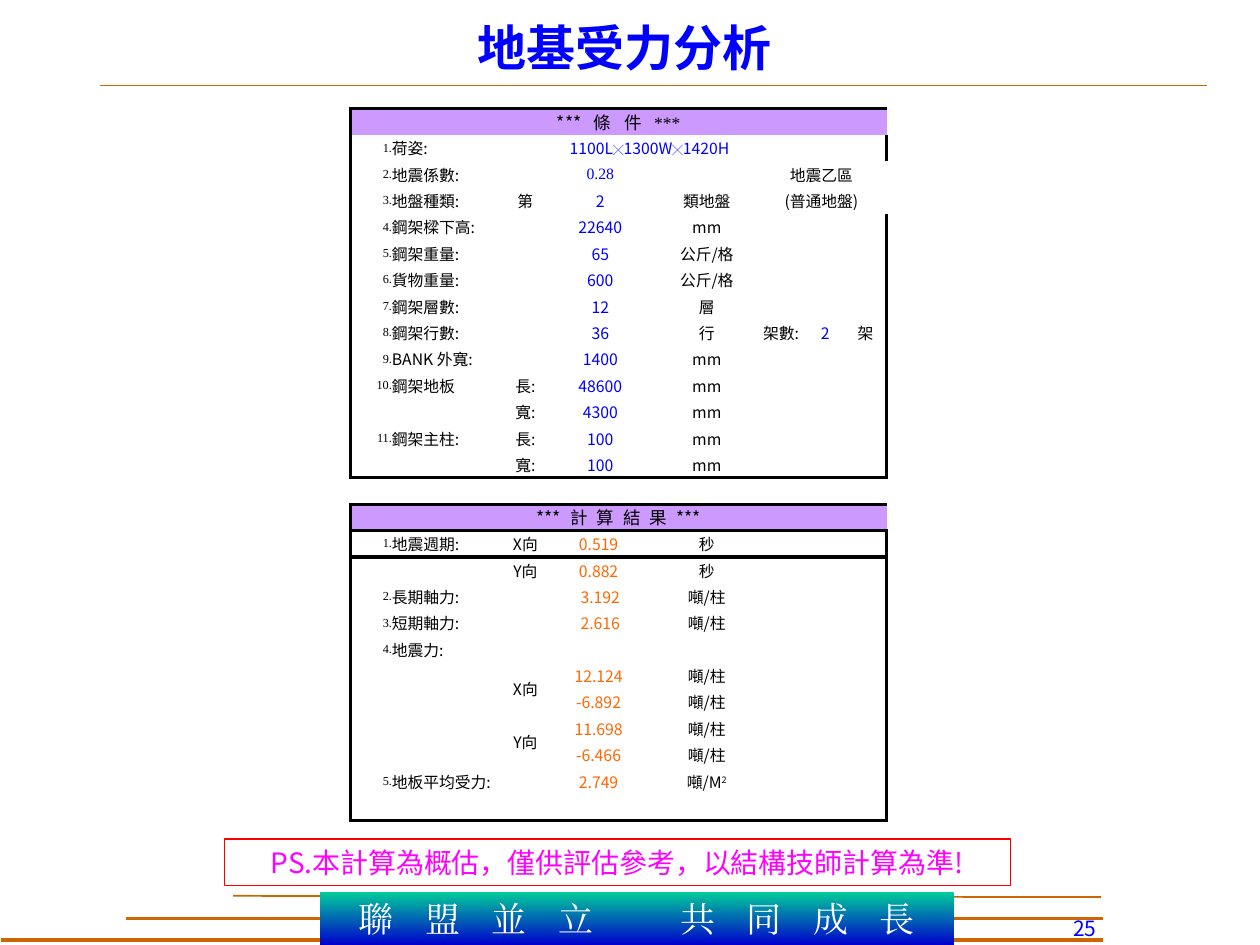
from lxml.etree import SubElement
from pptx import Presentation
from pptx.dml.color import RGBColor
from pptx.enum.shapes import MSO_CONNECTOR, MSO_SHAPE
from pptx.enum.text import MSO_ANCHOR, PP_ALIGN
from pptx.oxml.ns import qn
from pptx.util import Inches, Pt

SANS, SERIF = "Noto Sans CJK SC", "Times New Roman"
BLACK, BLUE, ORANGE, BROWN = "000000", "0000FF", "FF6600", "CC6600"


def colour(value):
    return RGBColor.from_string(value)


def add_span(paragraph, text, size, ink, font=SANS, spacing=0):
    span = paragraph.add_run()
    span.text = text
    span.font.size = Pt(size)
    span.font.name = font
    span.font.color.rgb = colour(ink)
    properties = span.font._element
    SubElement(properties, qn("a:ea"), typeface=font)
    if spacing:
        properties.set("spc", str(int(spacing * 100)))
    return span


deck = Presentation()
deck.slide_width, deck.slide_height = Inches(10), Inches(7.5)
page = deck.slides.add_slide(deck.slide_layouts[5])

title = page.shapes.title
title.left, title.top, title.width, title.height = Inches(3.62), Inches(0.09), Inches(2.67), Inches(0.57)
title.text_frame.word_wrap = False
title.text_frame.vertical_anchor = MSO_ANCHOR.MIDDLE
title_line = title.text_frame.paragraphs[0]
title_line.alignment = PP_ALIGN.CENTER
add_span(title_line, "地基受力分析", 28, BLUE).font.bold = True

rules = [
    (0.79, 0.68, 9.58, 0.68, 0.75),
    (1, 7.29, 8.75, 7.29, 1.75),
    (1.85, 7.11, 8.74, 7.12, 1),
    (0.01, 7.46, 8.75, 7.46, 2.5),
]
for left, top, right, bottom, weight in rules:
    rule = page.shapes.add_connector(
        MSO_CONNECTOR.STRAIGHT, Inches(left), Inches(top), Inches(right), Inches(bottom))
    rule.line.color.rgb = colour(BROWN)
    rule.line.width = Pt(weight)
    SubElement(rule._element.spPr, qn("a:effectLst"))

banner = page.shapes.add_shape(
    MSO_SHAPE.RECTANGLE, Inches(2.54), Inches(7.08), Inches(5.03), Inches(0.42))
banner.shadow.inherit = False
banner.line.fill.background()
banner.fill.gradient()
banner.fill.gradient_angle = 270
for stop, shade in zip(banner.fill.gradient_stops, ["00CC99", "0000CC"]):
    stop.color.rgb = colour(shade)
banner.text_frame.word_wrap = False
banner.text_frame.vertical_anchor = MSO_ANCHOR.MIDDLE
motto = banner.text_frame.paragraphs[0]
motto.alignment = PP_ALIGN.CENTER
for text, spacing in [("聯 盟 並 立", 6.5), (" ", 38), ("共 同 成 長", 6.5)]:
    add_span(motto, text, 20, "FFFFFF", SERIF, spacing)

notice = page.shapes.add_shape(
    MSO_SHAPE.RECTANGLE, Inches(1.78), Inches(6.66), Inches(6.24), Inches(0.37))
notice.shadow.inherit = False
notice.fill.background()
notice.line.color.rgb = colour("FF0000")
notice.line.width = Pt(0.75)
notice.text_frame.word_wrap = True
notice.text_frame.vertical_anchor = MSO_ANCHOR.MIDDLE
notice_line = notice.text_frame.paragraphs[0]
notice_line.alignment = PP_ALIGN.CENTER
add_span(notice_line, "PS.本計算為概估，僅供評估參考，以結構技師計算為準!", 16, "FF00FF")

number_box = page.shapes.add_textbox(Inches(8.35), Inches(7.22), Inches(0.45), Inches(0.28))
number_box.text_frame.word_wrap = True
number_line = number_box.text_frame.paragraphs[0]
number_line.alignment = PP_ALIGN.RIGHT
add_span(number_line, "25", 12, BLUE)

rows = [
    ["*** 條 件 ***"],
    ["1.", "荷姿:", "", "1100L╳1300W╳1420H"],
    ["2.", "地震係數:", "", "0.28", "", "地震乙區"],
    ["3.", "地盤種類:", "第", "2", "類地盤", "(普通地盤)"],
    ["4.", "鋼架樑下高:", "", "22640", "mm"],
    ["5.", "鋼架重量:", "", "65", "公斤/格"],
    ["6.", "貨物重量:", "", "600", "公斤/格"],
    ["7.", "鋼架層數:", "", "12", "層"],
    ["8.", "鋼架行數:", "", "36", "行", "架數:", "2", "架"],
    ["9.", "BANK 外寬:", "", "1400", "mm"],
    ["10.", "鋼架地板", "長:", "48600", "mm"],
    ["", "", "寬:", "4300", "mm"],
    ["11.", "鋼架主柱:", "長:", "100", "mm"],
    ["", "", "寬:", "100", "mm"],
    [],
    ["*** 計 算 結 果 ***"],
    ["1.", "地震週期:", "X向", "0.519 ", "秒"],
    ["", "", "Y向", "0.882 ", "秒"],
    ["2.", "長期軸力:", "", "3.192", "噸/柱"],
    ["3.", "短期軸力:", "", "2.616", "噸/柱"],
    ["4.", "地震力:"],
    ["", "", "X向", "12.124 ", "噸/柱"],
    ["", "", "", "-6.892 ", "噸/柱"],
    ["", "", "Y向", "11.698 ", "噸/柱"],
    ["", "", "", "-6.466 ", "噸/柱"],
    ["5.", "地板平均受力:", "", "2.749 ", "噸/M2"],
    [],
]
widths = [0.33, 0.92, 0.28, 0.91, 0.78, 0.4, 0.3, 0.34]
headings, gap_row, ends = (0, 15), 14, (13, 26)
merges = [(0, 0, 0, 7), (15, 0, 15, 7), (1, 3, 1, 4), (2, 5, 2, 7), (3, 5, 3, 7),
          (21, 2, 22, 2), (23, 2, 24, 2), (25, 1, 25, 2)]

frame = page.shapes.add_table(
    len(rows), len(widths), Inches(2.78), Inches(0.86), Inches(4.27), Inches(5.66))
table = frame.table
table.first_row = table.horz_banding = False
frame._element.find(".//" + qn("a:tableStyleId")).text = "{2D5ABB26-0587-4C30-8999-92F81FD0307C}"
for column, width in zip(table.columns, widths):
    column.width = Inches(width)
for top, left, bottom, right in merges:
    table.cell(top, left).merge(table.cell(bottom, right))

for r, texts in enumerate(rows):
    for c in range(len(widths)):
        cell = table.cell(r, c)
        cell.margin_left = cell.margin_right = cell.margin_top = cell.margin_bottom = 0
        cell.vertical_anchor = MSO_ANCHOR.MIDDLE
        edges = {
            "L": c == 0 and r != gap_row,
            "R": c == len(widths) - 1 and r != gap_row,
            "T": r in headings or r in (gap_row, 16),
            "B": r in ends or r in (gap_row, 15),
        }
        for side, shown in edges.items():
            if shown:
                edge = SubElement(cell._tc.get_or_add_tcPr(), qn("a:ln" + side), w=str(Pt(2)))
                SubElement(SubElement(edge, qn("a:solidFill")), qn("a:srgbClr"), val=BLACK)
        if r in headings:
            cell.fill.solid()
            cell.fill.fore_color.rgb = colour("CC99FF")
        else:
            cell.fill.background()

        paragraph = cell.text_frame.paragraphs[0]
        paragraph.alignment = {0: PP_ALIGN.RIGHT, 1: PP_ALIGN.LEFT}.get(c, PP_ALIGN.CENTER)
        text = texts[c] if c < len(texts) else ""
        if r in headings:
            paragraph.alignment = PP_ALIGN.CENTER
            words = text.split(" ")
            for index, word in enumerate(words):
                if index:
                    add_span(paragraph, " ", 10, BLACK, spacing=5 if r == 0 else 3)
                last_stars = r == 0 and index == len(words) - 1
                add_span(paragraph, word, 10, BLACK, SERIF if last_stars else SANS)
        elif "╳" in text:
            for index, part in enumerate(text.split("╳")):
                if index:
                    add_span(paragraph, "╳", 6, BLUE)
                add_span(paragraph, part, 9, BLUE)
        elif text == "噸/M2":
            add_span(paragraph, "噸/M", 9, BLACK)
            add_span(paragraph, "2", 9, BLACK).font._element.set("baseline", "30000")
        elif text:
            ink = BLACK if c not in (3, 6) else BLUE if r < gap_row else ORANGE
            font = SERIF if c == 0 or text == "0.28" else SANS
            add_span(paragraph, text, 7 if c == 0 else 9, ink, font)
        else:
            SubElement(paragraph._p, qn("a:endParaRPr"), sz="900")

deck.save("out.pptx")
